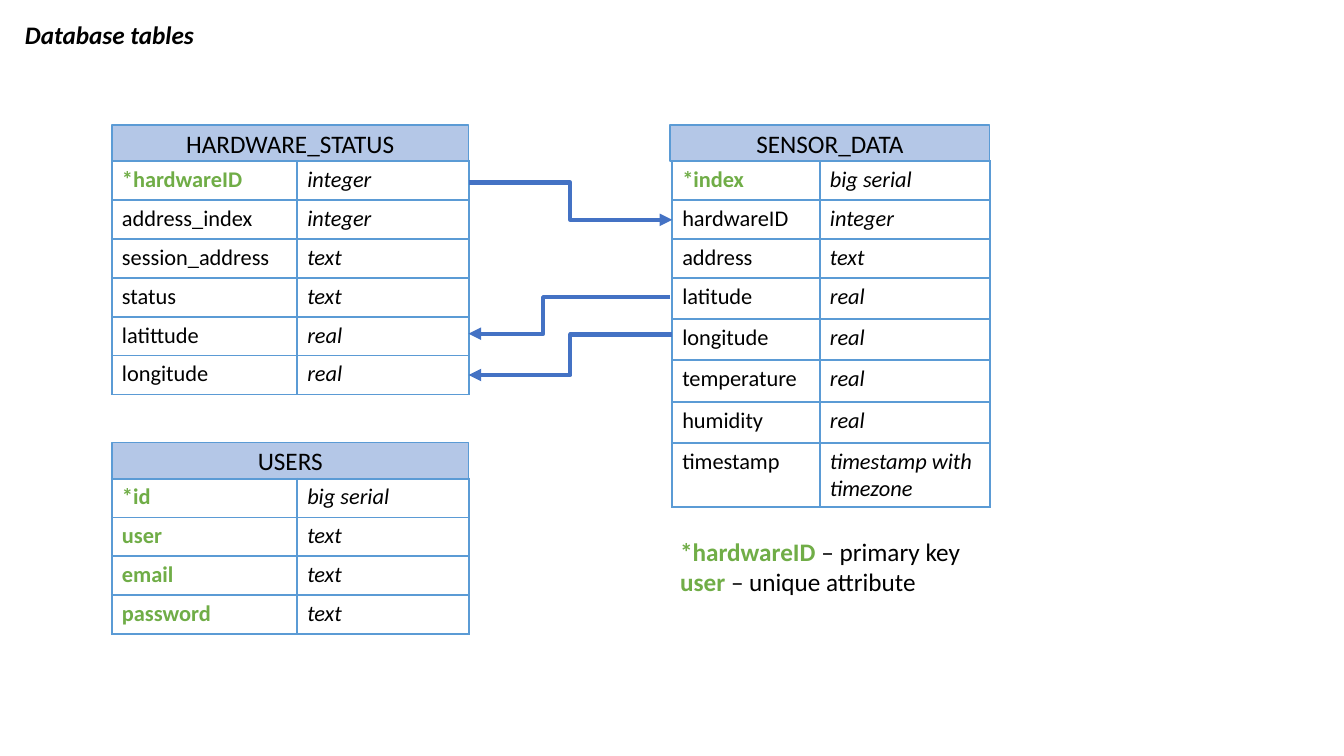
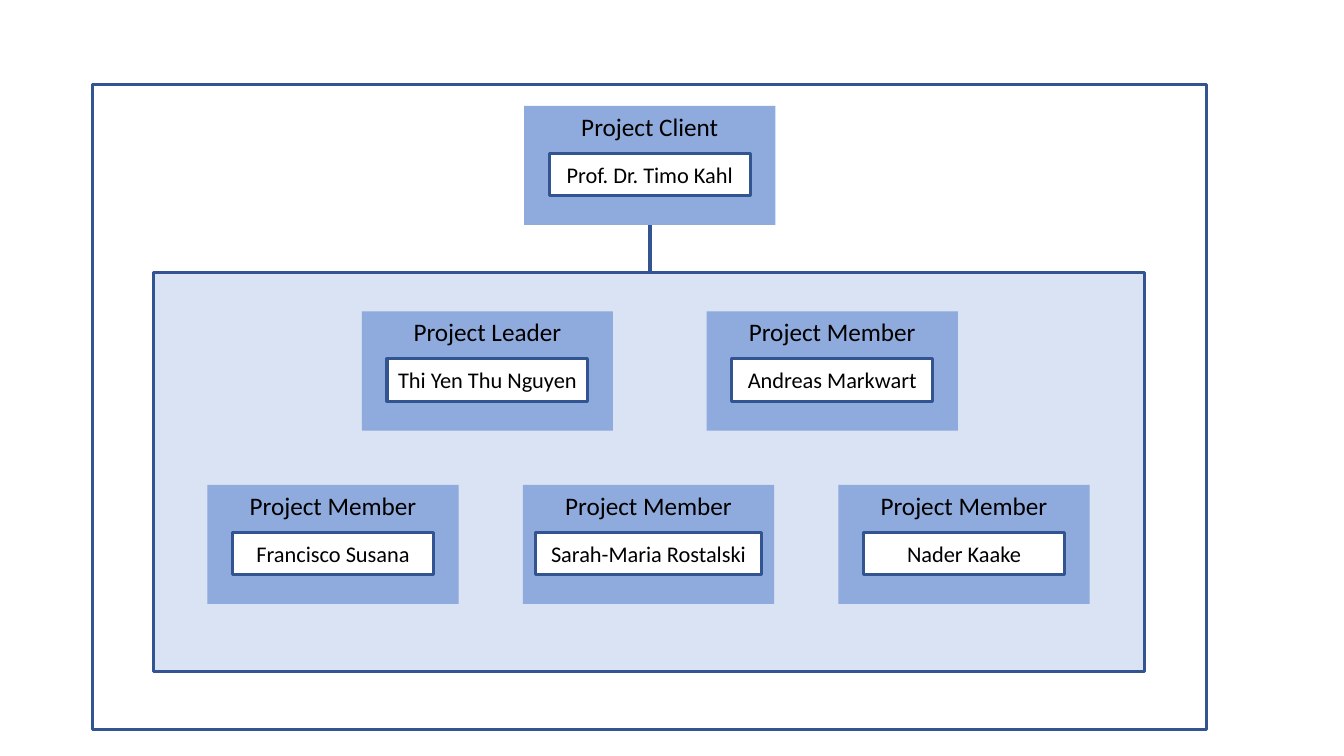
from dataclasses import dataclass

from lxml import etree
from pptx import Presentation
from pptx import util as u
from pptx.dml.color import RGBColor
from pptx.enum import shapes, text
from pptx.oxml import ns


@dataclass(frozen=True)
class Theme:
    font: str = "Calibri"
    heading: int = 18
    body: int = 16
    black: str = "000000"
    white: str = "FFFFFF"
    key: str = "70AD47"
    header: str = "B4C7E7"
    grid: str = "5B9BD5"
    relation: str = "4472C4"
    outline: str = "325491"
    panel: str = "DAE3F3"
    card: str = "8FAADC"


THEME = Theme()
ROW = 0.98
TALL_ROW = 1.04
HEADER_HEIGHT = 0.91
CARD_WIDTH, CARD_HEIGHT = 6.33, 3
NAME_WIDTH, NAME_HEIGHT, NAME_OFFSET = 5.06, 1.07, 1.19


def cm(*lengths):
    return [u.Cm(length) for length in lengths]


def rgb(colour):
    return RGBColor.from_string(colour)


def style(font, size, colour=THEME.black, bold=False, italic=False):
    font.name = THEME.font
    font.size = u.Pt(size)
    font.color.rgb = rgb(colour)
    font.bold = bold
    font.italic = italic


def add_box(slide, bounds, fill=None, line=None, weight=2.25, label="",
            size=THEME.heading, anchor=text.MSO_ANCHOR.MIDDLE):
    box = slide.shapes.add_shape(shapes.MSO_SHAPE.RECTANGLE, *cm(*bounds))
    box.shadow.inherit = False
    if fill:
        box.fill.solid()
        box.fill.fore_color.rgb = rgb(fill)
    else:
        box.fill.background()
    if line:
        box.line.color.rgb = rgb(line)
        box.line.width = u.Pt(weight)
    else:
        box.line.fill.background()
    if label:
        frame = box.text_frame
        frame.word_wrap = True
        frame.vertical_anchor = anchor
        caption = frame.paragraphs[0]
        caption.text = label
        caption.alignment = text.PP_ALIGN.CENTER
        style(caption.font, size)


def add_text(slide, bounds, wrap=True):
    frame = slide.shapes.add_textbox(*cm(*bounds)).text_frame
    frame.word_wrap = wrap
    frame.auto_size = text.MSO_AUTO_SIZE.SHAPE_TO_FIT_TEXT
    return frame


def add_title(slide, wording):
    title = add_text(slide, (0.38, 0.36, 10.77, 1.02)).paragraphs[0]
    title.text = wording
    style(title.font, THEME.heading, bold=True, italic=True)


def add_legend(slide, bounds, entries):
    frame = add_text(slide, bounds, wrap=False)
    for index, (sample, meaning) in enumerate(entries):
        entry = frame.add_paragraph() if index else frame.paragraphs[0]
        for wording, colour, bold in ((f"{sample} ", THEME.key, True),
                                      (f"– {meaning}", THEME.black, False)):
            run = entry.add_run()
            run.text = wording
            style(run.font, THEME.heading, colour, bold)


def add_borders(cell):
    properties = cell._tc.get_or_add_tcPr()
    for side in ("lnL", "lnR", "lnT", "lnB"):
        border = etree.SubElement(properties, ns.qn(f"a:{side}"), w=str(u.Pt(1.5)))
        paint = etree.SubElement(border, ns.qn("a:solidFill"))
        etree.SubElement(paint, ns.qn("a:srgbClr"), val=THEME.grid)


def fill_cell(cell, wording, **look):
    add_borders(cell)
    cell.fill.solid()
    cell.fill.fore_color.rgb = rgb(THEME.white)
    entry = cell.text_frame.paragraphs[0]
    entry.text = wording
    style(entry.font, THEME.body, **look)


def add_entity(slide, name, header, columns, heights, attributes, keys):
    left, top, width = header
    add_box(slide, (left, top, width, HEADER_HEIGHT), THEME.header, THEME.grid, 1, name)
    grid = slide.shapes.add_table(
        len(attributes), 2,
        *cm(left + width - sum(columns), top + HEADER_HEIGHT, sum(columns), sum(heights))
    ).table
    grid.first_row = grid.horz_banding = False
    for column, column_width in zip(grid.columns, columns):
        column.width = u.Cm(column_width)
    for row, height, (attribute, kind) in zip(grid.rows, heights, attributes):
        row.height = u.Cm(height)
        is_key = attribute in keys
        fill_cell(row.cells[0], attribute, bold=is_key,
                  colour=THEME.key if is_key else THEME.black)
        fill_cell(row.cells[1], kind, italic=True)


def add_link(slide, kind, ends, colour, weight):
    link = slide.shapes.add_connector(kind, *cm(*ends))
    link.line.color.rgb = rgb(colour)
    link.line.width = u.Pt(weight)
    etree.SubElement(link._element.spPr, ns.qn("a:effectLst"))
    return link


def add_relation(slide, ends, bend=0.5):
    relation = add_link(slide, shapes.MSO_CONNECTOR.ELBOW, ends, THEME.relation, 3)
    etree.SubElement(relation.line._get_or_add_ln(), ns.qn("a:tailEnd"), type="triangle")
    guides = relation._element.spPr.find(ns.qn("a:prstGeom")).get_or_add_avLst()
    etree.SubElement(guides, ns.qn("a:gd"), name="adj1", fmla=f"val {round(bend * 100000)}")


def add_card(slide, left, top, role, person, name_width=NAME_WIDTH):
    add_box(slide, (left, top, CARD_WIDTH, CARD_HEIGHT), THEME.card,
            label=role, anchor=text.MSO_ANCHOR.TOP)
    name_left = left + (CARD_WIDTH - name_width) / 2
    add_box(slide, (name_left, top + NAME_OFFSET, name_width, NAME_HEIGHT),
            THEME.white, THEME.outline, label=person, size=THEME.body)


def build_database(slide):
    add_title(slide, "Database tables")
    narrow = (4.67, 4.32)
    add_entity(slide, "HARDWARE_STATUS", (2.82, 3.15, 8.99), narrow, [ROW] * 6, [
        ("*hardwareID", "integer"), ("address_index", "integer"),
        ("session_address", "text"), ("status", "text"),
        ("latittude", "real"), ("longitude", "real"),
    ], {"*hardwareID"})
    add_entity(slide, "SENSOR_DATA", (16.89, 3.15, 8.05), (3.72, 4.28),
               [ROW] * 3 + [TALL_ROW] * 4 + [1.62], [
        ("*index", "big serial"), ("hardwareID", "integer"), ("address", "text"),
        ("latitude", "real"), ("longitude", "real"), ("temperature", "real"),
        ("humidity", "real"), ("timestamp", "timestamp with timezone"),
    ], {"*index"})
    add_legend(slide, (16.89, 13.39, 7.65, 2.57), [
        ("*hardwareID", "primary key"), ("user", "unique attribute"),
    ])
    add_relation(slide, (16.89, 7.49, 11.81, 8.41), bend=0.63)
    add_relation(slide, (16.94, 8.43, 11.81, 9.45))
    add_entity(slide, "USERS", (2.82, 11.15, 8.99), narrow, [ROW] * 4, [
        ("*id", "big serial"), ("user", "text"), ("email", "text"), ("password", "text"),
    ], {"*id", "user", "email", "password"})
    add_relation(slide, (11.81, 4.6, 16.94, 5.54))


def build_team(slide):
    add_box(slide, (3.86, 6.86, 24.99, 10.06), THEME.panel, THEME.outline)
    add_card(slide, 13.21, 2.67, "Project Client", "Prof. Dr. Timo Kahl")
    add_card(slide, 9.12, 7.85, "Project Leader", "Thi Yen Thu Nguyen")
    add_card(slide, 17.81, 7.85, "Project Member", "Andreas Markwart")
    members = [("Francisco Susana", NAME_WIDTH), ("Sarah-Maria Rostalski", 5.69),
               ("Nader Kaake", NAME_WIDTH)]
    for index, (person, name_width) in enumerate(members):
        add_card(slide, 5.23 + 7.95 * index, 12.22, "Project Member", person, name_width)
    add_box(slide, (2.34, 2.13, 28.07, 16.26), line=THEME.outline)
    add_link(slide, shapes.MSO_CONNECTOR.STRAIGHT, (16.38, 5.67, 16.38, 6.86),
             THEME.outline, 2.25)


def main():
    deck = Presentation()
    deck.slide_width, deck.slide_height = cm(33.87, 19.05)
    for build in (build_database, build_team):
        build(deck.slides.add_slide(deck.slide_layouts[6]))
    deck.save("out.pptx")


main()
